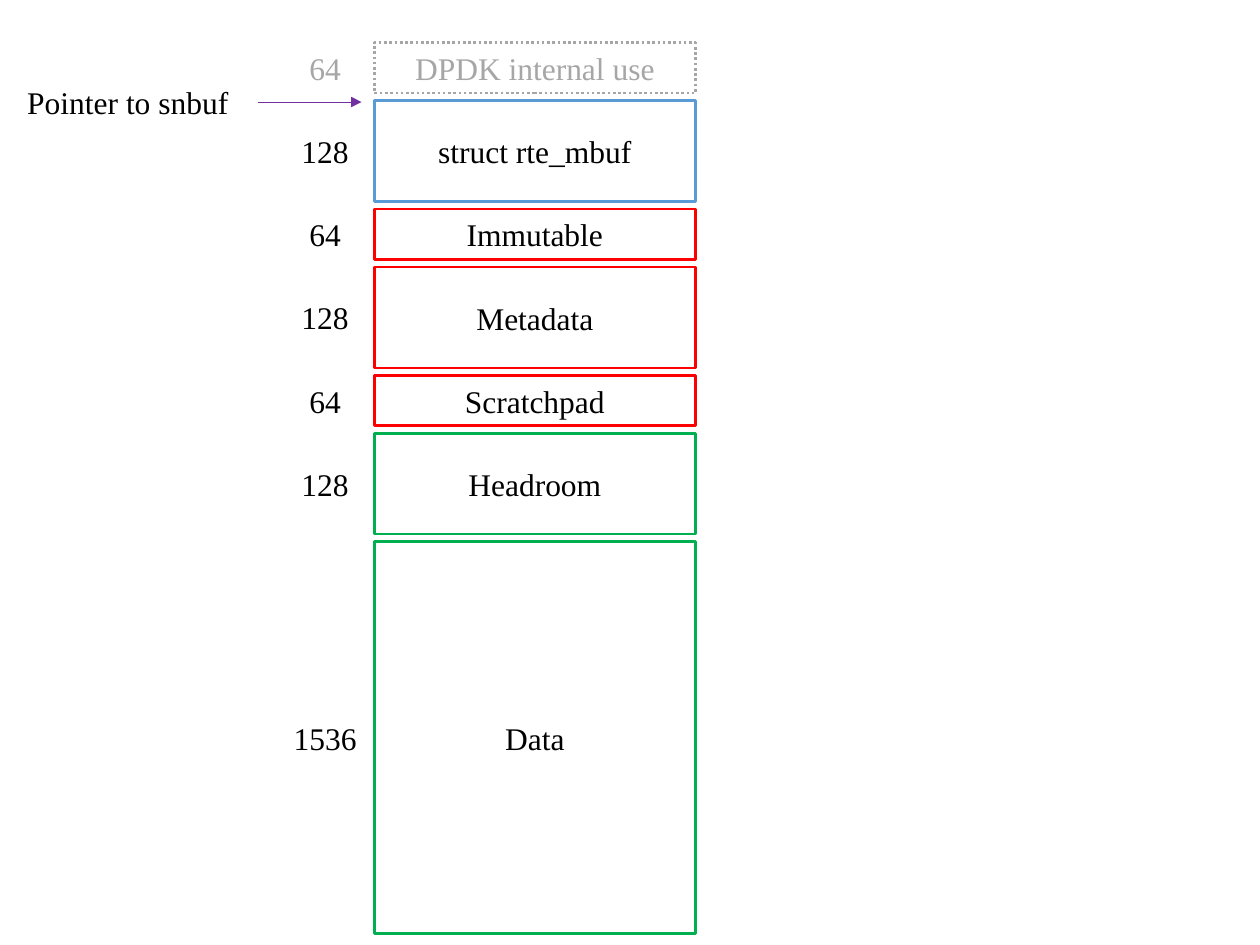
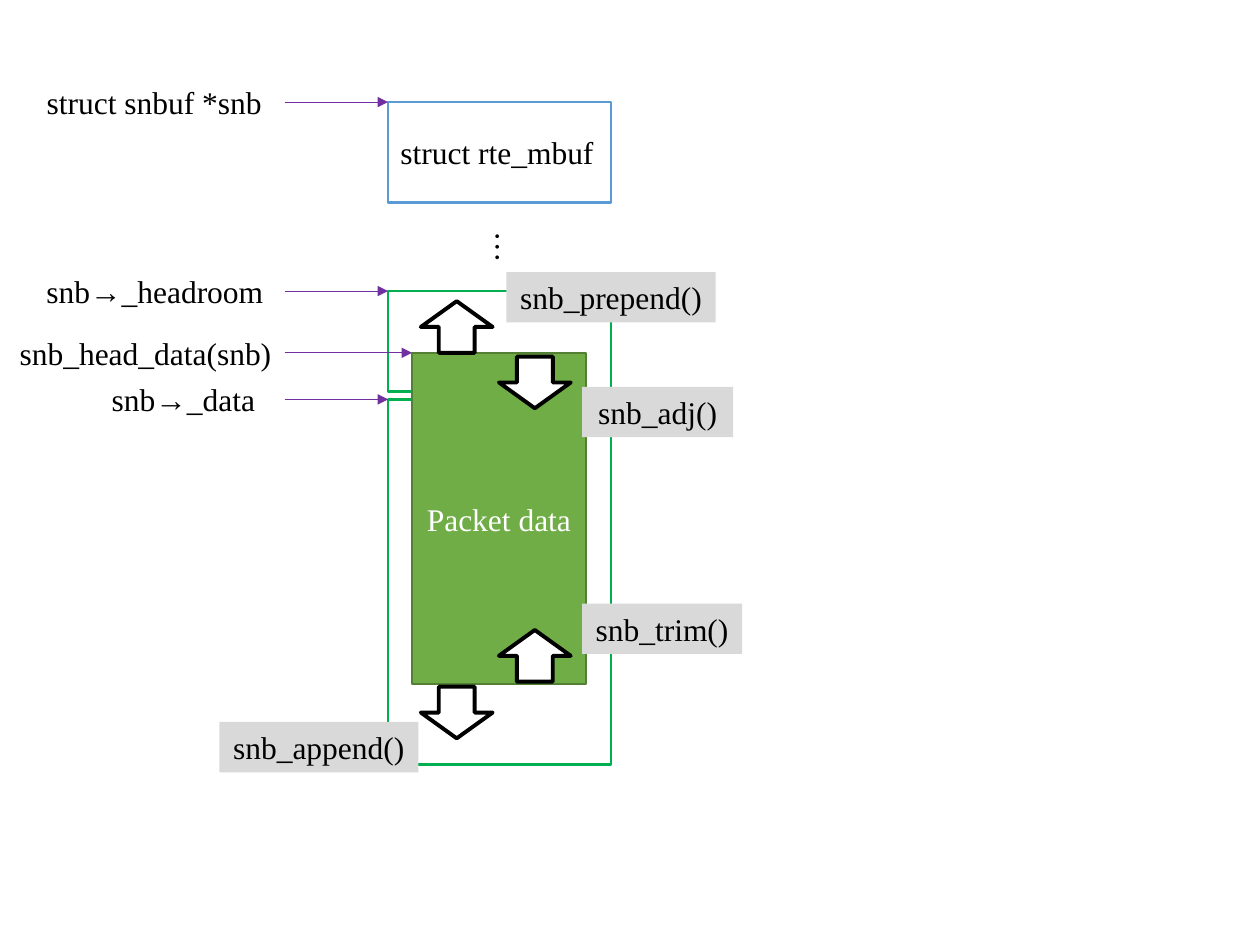
from dataclasses import dataclass

from lxml import etree
from pptx import Presentation
from pptx.dml.color import RGBColor
from pptx.enum.dml import MSO_LINE
from pptx.enum.shapes import MSO_CONNECTOR, MSO_SHAPE
from pptx.enum.text import MSO_ANCHOR, MSO_AUTO_SIZE, PP_ALIGN
from pptx.oxml.ns import qn
from pptx.util import Inches, Pt


@dataclass(frozen=True)
class Theme:
    """Colours, font and sizes shared by both slides."""
    font: str = "Times New Roman"
    text_size: float = 18
    outline: float = 1.5
    packet_outline: float = 1
    arrow_outline: float = 2.25
    pointer_width: float = 0.5
    label_height: float = 0.4
    black: str = "000000"
    white: str = "FFFFFF"
    muted: str = "A6A6A6"
    mbuf: str = "5B9BD5"
    metadata: str = "FF0000"
    buffer: str = "00B050"
    packet: str = "70AD47"
    packet_edge: str = "538035"
    pointer: str = "7030A0"
    function: str = "D9D9D9"


theme = Theme()


def add_box(slide, place, text="", edge=None, fill=theme.white, color=theme.black,
            weight=theme.outline, kind=MSO_SHAPE.RECTANGLE, align=PP_ALIGN.CENTER):
    """Add an outlined shape, or an unwrapped text label when edge is None."""
    place = [Inches(length) for length in place]
    if edge:
        box = slide.shapes.add_shape(kind, *place)
        box.shadow.inherit = False
        box.line.color.rgb = RGBColor.from_string(edge)
        box.line.width = Pt(weight)
    else:
        box = slide.shapes.add_textbox(*place)
    box.fill.solid()
    box.fill.fore_color.rgb = RGBColor.from_string(fill)
    if text:
        frame = box.text_frame
        frame.text = text
        frame.word_wrap = bool(edge)
        frame.vertical_anchor = MSO_ANCHOR.MIDDLE if edge else MSO_ANCHOR.TOP
        frame.auto_size = MSO_AUTO_SIZE.NONE if edge else MSO_AUTO_SIZE.SHAPE_TO_FIT_TEXT
        paragraph = frame.paragraphs[0]
        paragraph.alignment = align
        font = paragraph.runs[0].font
        font.name = theme.font
        font.size = Pt(theme.text_size)
        font.color.rgb = RGBColor.from_string(color)
    return box


def add_pointer(slide, label, label_left, label_width, start, end, y):
    """Add a label and a thin horizontal arrow from it to an address."""
    add_box(slide, (label_left, y - 0.2, label_width, theme.label_height), label)
    arrow = slide.shapes.add_connector(
        MSO_CONNECTOR.STRAIGHT, Inches(start), Inches(y), Inches(end), Inches(y))
    arrow.line.color.rgb = RGBColor.from_string(theme.pointer)
    arrow.line.width = Pt(theme.pointer_width)
    etree.SubElement(arrow.line._get_or_add_ln(), qn("a:tailEnd"), type="triangle")
    etree.SubElement(arrow._element.spPr, qn("a:effectLst"))


deck = Presentation()
deck.slide_width, deck.slide_height = Inches(10), Inches(7.5)
blank = deck.slide_layouts[6]

# Slide 1: memory layout of a packet buffer, with section sizes in bytes
layout_slide = deck.slides.add_slide(blank)
sections = [
    ("DPDK internal use", "64", 0.4, theme.muted, theme.muted),
    ("struct rte_mbuf", "128", 0.8, theme.mbuf, theme.black),
    ("Immutable", "64", 0.4, theme.metadata, theme.black),
    ("Metadata", "128", 0.8, theme.metadata, theme.black),
    ("Scratchpad", "64", 0.4, theme.metadata, theme.black),
    ("Headroom", "128", 0.8, theme.buffer, theme.black),
    ("Data", "1536", 3.11, theme.buffer, theme.black),
]
section_gap = 0.06
size_center = 2.58
top = 0.34
for name, size, height, edge, color in sections:
    section = add_box(layout_slide, (2.97, top, 2.55, height), name, edge, color=color)
    if edge == theme.muted:
        section.line.dash_style = MSO_LINE.ROUND_DOT
    size_width = 0.19 + 0.13 * len(size)
    size_top = top + (height - theme.label_height) / 2
    add_box(layout_slide, (size_center - size_width / 2, size_top, size_width,
                           theme.label_height), size, color=color)
    top += height + section_gap
add_pointer(layout_slide, "Pointer to snbuf", 0.11, 1.81, 2.05, 2.87, 0.81)

# Slide 2: addresses inside the buffer and the functions that move them
access_slide = deck.slides.add_slide(blank)
buffer_left, buffer_width = 3.08, 1.77
packet_left, packet_top, packet_height = 3.27, 2.8, 2.63
mbuf_top, headroom_top, data_top = 0.81, 2.31, 3.17

add_box(access_slide, (buffer_left, mbuf_top, buffer_width, 0.8), "struct rte_mbuf",
        theme.mbuf, align=PP_ALIGN.LEFT)
for area_top, area_height in [(headroom_top, 0.8), (data_top, 2.9)]:
    add_box(access_slide, (buffer_left, area_top, buffer_width, area_height),
            edge=theme.buffer)
add_box(access_slide, (packet_left, packet_top, 1.38, packet_height), "Packet data",
        theme.packet_edge, theme.packet, theme.white, theme.packet_outline)

pointers = [
    ("struct snbuf *snb", 0.26, 1.93, buffer_left, mbuf_top),
    ("snb→_headroom", 0.26, 1.94, buffer_left, headroom_top),
    ("snb→_data", 0.78, 1.35, buffer_left, data_top),
    ("snb_head_data(snb)", 0, 2.31, packet_left, packet_top),
]
for label, label_left, label_width, target, y in pointers:
    add_pointer(access_slide, label, label_left, label_width, 2.26, target, y)

resize_arrows = [(3.34, 2.39, 0), (3.96, 2.83, 180), (3.96, 5, 0), (3.34, 5.45, 180)]
for left, top, rotation in resize_arrows:
    resize_arrow = add_box(access_slide, (left, top, 0.57, 0.41), edge=theme.black,
                           weight=theme.arrow_outline, kind=MSO_SHAPE.UP_ARROW)
    resize_arrow.rotation = rotation

omitted_sections = add_box(access_slide, (3.81, 1.76, 0.45, theme.label_height), "…")
omitted_sections.rotation = 90

functions = [
    ("snb_prepend()", 4.02, 2.16, 1.66),
    ("snb_adj()", 4.62, 3.07, 1.2),
    ("snb_trim()", 4.62, 4.79, 1.27),
    ("snb_append()", 1.74, 5.73, 1.58),
]
for function, left, top, width in functions:
    add_box(access_slide, (left, top, width, theme.label_height), function,
            fill=theme.function)

deck.save("out.pptx")
